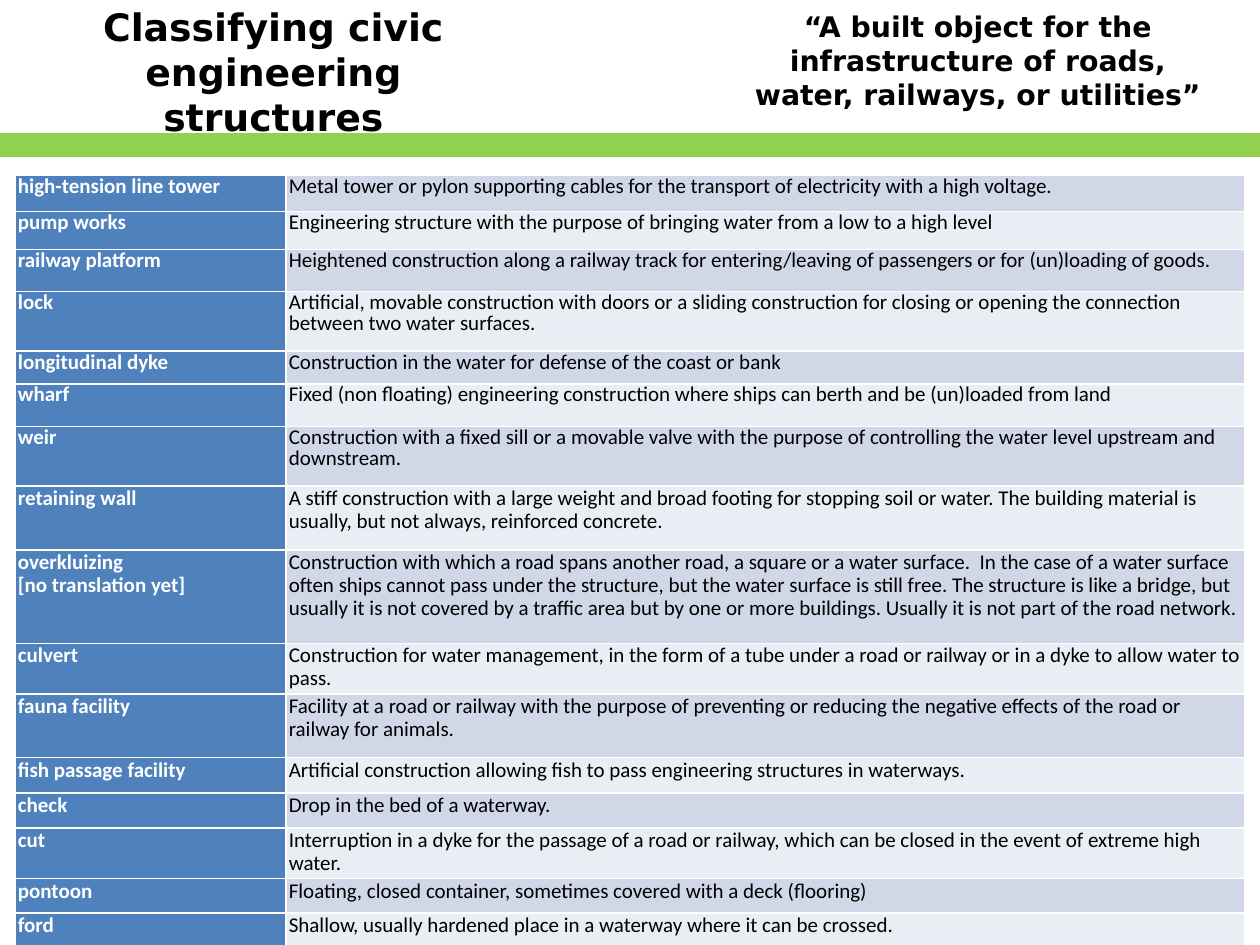
from dataclasses import dataclass

from pptx import Presentation
from pptx.dml.color import RGBColor
from pptx.enum.shapes import MSO_SHAPE
from pptx.enum.text import MSO_ANCHOR, MSO_AUTO_SIZE, PP_ALIGN
from pptx.shapes.base import BaseShape
from pptx.slide import Slide
from pptx.table import _Cell
from pptx.text.text import TextFrame
from pptx.util import Pt

RECTANGLE = MSO_SHAPE.RECTANGLE
MIDDLE = MSO_ANCHOR.MIDDLE
NO_AUTOFIT = MSO_AUTO_SIZE.NONE
CENTER = PP_ALIGN.CENTER
TITLE_ONLY = 5


@dataclass(frozen=True)
class Theme:
    heading_font: str = "DejaVu Sans"
    table_font: str = "Calibri"
    title_size: float = 21.6
    quote_size: float = 16.2
    table_size: float = 12
    cell_margin: float = 1.5
    ink: RGBColor = RGBColor(0x00, 0x00, 0x00)
    white: RGBColor = RGBColor(0xFF, 0xFF, 0xFF)
    green: RGBColor = RGBColor(0x92, 0xD0, 0x50)
    term_fill: RGBColor = RGBColor(0x4F, 0x81, 0xBD)
    row_fills: tuple[RGBColor, RGBColor] = (
        RGBColor(0xD0, 0xD8, 0xE8),
        RGBColor(0xE9, 0xED, 0xF4),
    )


@dataclass(frozen=True)
class Area:
    left: float
    top: float
    width: float
    height: float


@dataclass(frozen=True)
class Structure:
    term: str
    definition: str
    height: float
    line_spacing: float = 13


THEME = Theme()
TITLE_AREA = Area(14.4, 9.4, 283.7, 62.6)
QUOTE_AREA = Area(416.9, 2.9, 283.7, 62.6)
BAND_AREA = Area(0, 77, 720, 11.5)
TABLE_LEFT, TABLE_TOP = 8.75, 100.3
COLUMN_WIDTHS = (154.8, 547.9)

STRUCTURES = (
    Structure("high-tension line tower",
              "Metal tower or pylon supporting cables for the transport of "
              "electricity with a high voltage.", 20.6, 12),
    Structure("pump works",
              "Engineering structure with the purpose of bringing water from "
              "a low to a high level", 21.6, 12),
    Structure("railway platform",
              "Heightened construction along a railway track for "
              "entering/leaving of passengers or for (un)loading of goods.",
              24.2, 12),
    Structure("lock",
              "Artificial, movable construction with doors or a sliding "
              "construction for closing or opening the connection between "
              "two water surfaces.", 34, 12),
    Structure("longitudinal dyke",
              "Construction in the water for defense of the coast or bank",
              18.7, 12),
    Structure("wharf",
              "Fixed (non floating) engineering construction where ships can "
              "berth and be (un)loaded from land", 24.4, 12),
    Structure("weir",
              "Construction with a fixed sill or a movable valve with the "
              "purpose of controlling the water level upstream and "
              "downstream.", 34, 12),
    Structure("retaining wall",
              "A stiff construction with a large weight and broad footing for "
              "stopping soil or water. The building material is usually, but "
              "not always, reinforced concrete.", 36.6),
    Structure("overkluizing\n[no translation yet]",
              "Construction with which a road spans another road, a square or "
              "a water surface.  In the case of a water surface often ships "
              "cannot pass under the structure, but the water surface is "
              "still free. The structure is like a bridge, but usually it is "
              "not covered by a traffic area but by one or more buildings. "
              "Usually it is not part of the road network.", 53.3),
    Structure("culvert",
              "Construction for water management, in the form of a tube under "
              "a road or railway or in a dyke to allow water to pass.", 28.8),
    Structure("fauna facility",
              "Facility at a road or railway with the purpose of preventing "
              "or reducing the negative effects of the road or railway for "
              "animals.", 36.4),
    Structure("fish passage facility",
              "Artificial construction allowing fish to pass engineering "
              "structures in waterways.", 20.2),
    Structure("check", "Drop in the bed of a waterway.", 20),
    Structure("cut",
              "Interruption in a dyke for the passage of a road or railway, "
              "which can be closed in the event of extreme high water.", 28.8),
    Structure("pontoon",
              "Floating, closed container, sometimes covered with a deck "
              "(flooring)", 19.6),
    Structure("ford",
              "Shallow, usually hardened place in a waterway where it can be "
              "crossed.", 19),
)


def lengths(area: Area) -> tuple[Pt, Pt, Pt, Pt]:
    return Pt(area.left), Pt(area.top), Pt(area.width), Pt(area.height)


def format_runs(frame: TextFrame, font: str, size: float,
                color: RGBColor, bold: bool) -> None:
    for para in frame.paragraphs:
        for span in para.runs:
            span.font.name = font
            span.font.size = Pt(size)
            span.font.color.rgb = color
            span.font.bold = bold


def set_heading(box: BaseShape, text: str, area: Area, size: float) -> None:
    box.left, box.top, box.width, box.height = lengths(area)
    frame = box.text_frame
    frame.text = text
    frame.word_wrap = True
    frame.auto_size = NO_AUTOFIT
    frame.vertical_anchor = MIDDLE
    frame.paragraphs[0].alignment = CENTER
    format_runs(frame, THEME.heading_font, size, THEME.ink, True)


def draw_band(page: Slide) -> None:
    band = page.shapes.add_shape(RECTANGLE, *lengths(BAND_AREA))
    band.shadow.inherit = False
    band.fill.solid()
    band.fill.fore_color.rgb = THEME.green
    band.line.color.rgb = THEME.green
    band.line.width = Pt(2)


def set_cell(cell: _Cell, text: str, spacing: float, fill: RGBColor,
             color: RGBColor, bold: bool) -> None:
    cell.fill.solid()
    cell.fill.fore_color.rgb = fill
    cell.margin_left = cell.margin_right = Pt(THEME.cell_margin)
    cell.margin_top = cell.margin_bottom = Pt(THEME.cell_margin)
    cell.text_frame.text = text
    for para in cell.text_frame.paragraphs:
        para.line_spacing = Pt(spacing)
    format_runs(cell.text_frame, THEME.table_font, THEME.table_size, color, bold)


def draw_table(page: Slide) -> None:
    height = sum(structure.height for structure in STRUCTURES)
    area = Area(TABLE_LEFT, TABLE_TOP, sum(COLUMN_WIDTHS), height)
    table = page.shapes.add_table(
        len(STRUCTURES), len(COLUMN_WIDTHS), *lengths(area)).table
    table.first_row = False
    table.horz_banding = False
    for column, width in zip(table.columns, COLUMN_WIDTHS):
        column.width = Pt(width)
    for index, structure in enumerate(STRUCTURES):
        row = table.rows[index]
        row.height = Pt(structure.height)
        term, definition = row.cells
        set_cell(term, structure.term, structure.line_spacing,
                 THEME.term_fill, THEME.white, True)
        set_cell(definition, structure.definition, structure.line_spacing,
                 THEME.row_fills[index % 2], THEME.ink, False)


def main() -> None:
    deck = Presentation()
    deck.slide_width, deck.slide_height = Pt(720), Pt(540)
    page = deck.slides.add_slide(deck.slide_layouts[TITLE_ONLY])
    draw_band(page)
    set_heading(page.shapes.title, "Classifying civic engineering structures",
                TITLE_AREA, THEME.title_size)
    draw_table(page)
    quote = page.shapes.add_textbox(*lengths(QUOTE_AREA))
    set_heading(quote, "“A built object for the infrastructure of roads, "
                "water, railways, or utilities”", QUOTE_AREA, THEME.quote_size)
    deck.save("out.pptx")


if __name__ == "__main__":
    main()
